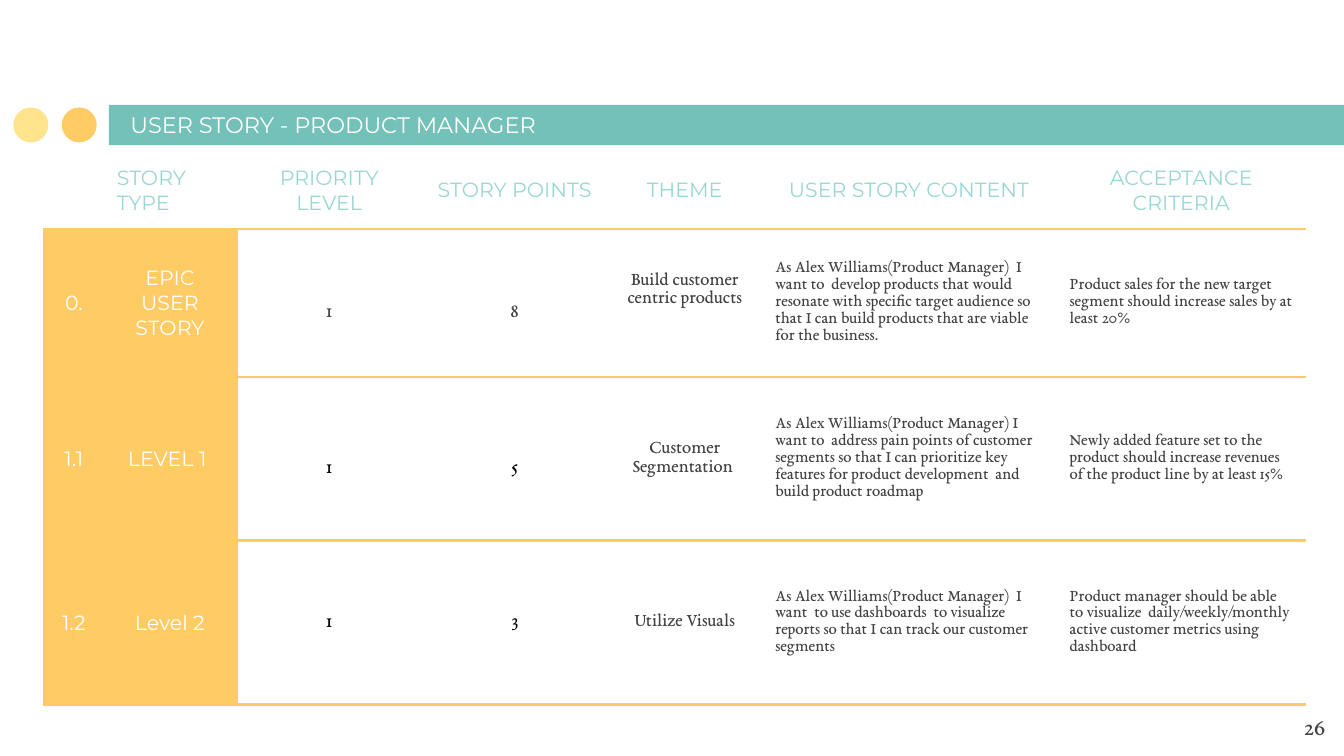
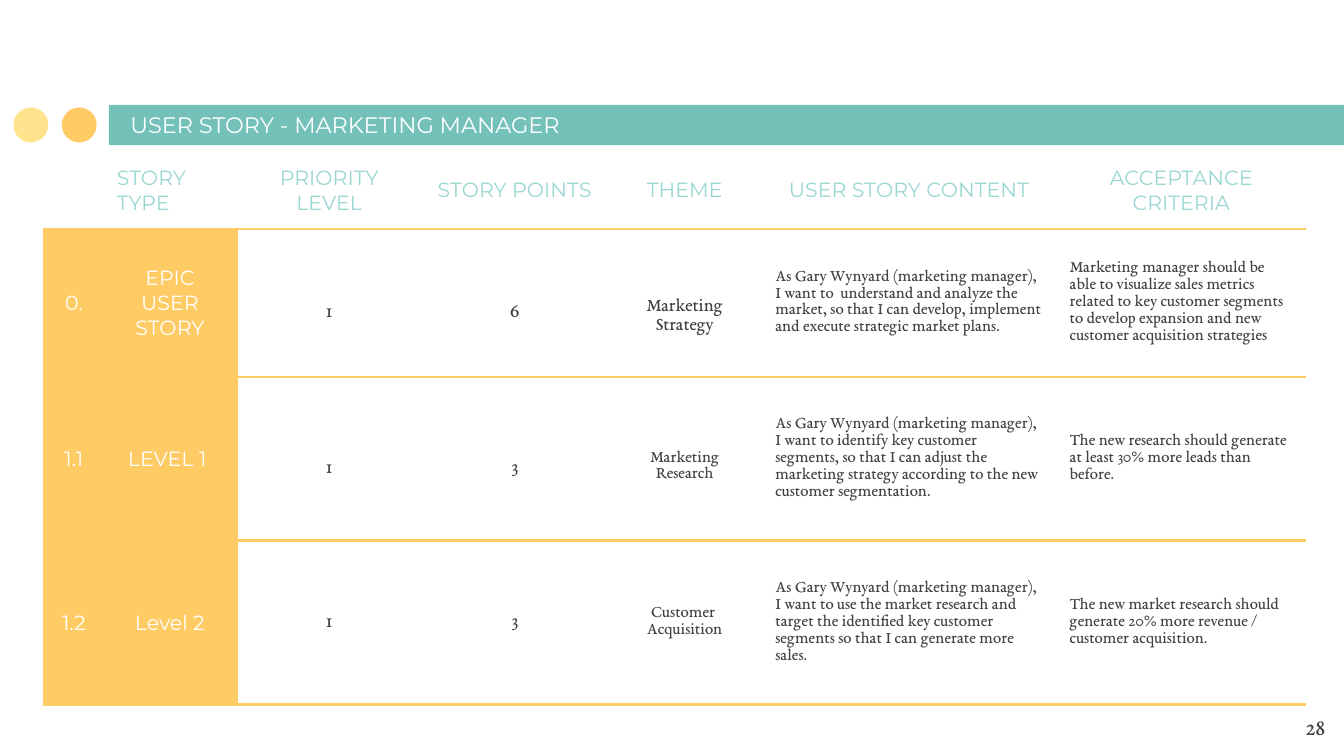
import pptx
import pptx.util
import pptx.dml.color
import pptx.enum.shapes
import pptx.enum.text
import lxml.etree
import pptx.oxml.ns

Inches = pptx.util.Inches
Pt = pptx.util.Pt
RGBColor = pptx.dml.color.RGBColor
Align = pptx.enum.text.PP_ALIGN
Anchor = pptx.enum.text.MSO_ANCHOR
Shape = pptx.enum.shapes.MSO_SHAPE
qn = pptx.oxml.ns.qn

TEAL = RGBColor(0x74, 0xC1, 0xB9)
MINT = RGBColor(0x9A, 0xD7, 0xD2)
GOLD = RGBColor(0xFF, 0xCB, 0x64)
LEMON = RGBColor(0xFF, 0xE4, 0x8D)
WHITE = RGBColor(0xFF, 0xFF, 0xFF)
BLACK = RGBColor(0, 0, 0)
GREY = RGBColor(0x43, 0x43, 0x43)
SANS = "Montserrat"
SERIF = "EB Garamond"
PLAIN = "{2D5ABB26-0587-4C30-8999-92F81FD0307C}"

DECOR = [
    (Shape.RECTANGLE, 0.81, 0.78, 9.5, 0.3, TEAL),
    (Shape.OVAL, 0.46, 0.8, 0.26, 0.26, GOLD),
    (Shape.OVAL, 0.1, 0.8, 0.26, 0.26, LEMON),
]
COLS = [0.44, 0.99, 1.38, 1.38, 1.15, 2.19, 1.86]
ROWS = [0.53, 1.1, 1.22, 1.22]
HEADS = ["", "STORY TYPE", "PRIORITY LEVEL", "STORY POINTS", "THEME",
         "USER STORY CONTENT", "ACCEPTANCE CRITERIA"]
LEVELS = [("0.", "EPIC USER STORY"), ("1.1", "LEVEL 1 "), ("1.2", "Level 2")]
DROPS = [0.15, 0.15, 0]

DECK = [
    {
        "title": "USER STORY - PRODUCT MANAGER",
        "page": "26",
        "inks": [GREY, BLACK, BLACK],
        "sizes": [10, 10, 10],
        "drops": [0.22, 0, 0],
        "anchor": Anchor.TOP,
        "rows": [
            ("1", "8", "Build customer centric products",
             "As Alex Williams(Product Manager)  I want to  develop products that would "
             "resonate with specific target audience so that I can build products that "
             "are viable for the business.",
             "Product sales for the new target segment should increase sales by at least 20%"),
            ("1", "5", "Customer Segmentation ",
             "As Alex Williams(Product Manager) I want to  address pain points of customer "
             "segments so that I can prioritize key features for product development  and "
             "build product roadmap",
             "Newly added feature set to the product should increase revenues of the "
             "product line by at least 15%"),
            ("1", "3", "Utilize Visuals",
             "As Alex Williams(Product Manager)  I want  to use dashboards  to visualize "
             "reports so that I can track our customer segments",
             "Product manager should be able to visualize  daily/weekly/monthly active "
             "customer metrics using dashboard"),
        ],
    },
    {
        "title": "USER STORY - MARKETING MANAGER",
        "page": "28",
        "inks": [GREY, GREY, GREY],
        "sizes": [10, 9, 9],
        "drops": [0.21, 0.12, 0],
        "anchor": Anchor.MIDDLE,
        "rows": [
            ("1", "6", "Marketing Strategy",
             "As Gary Wynyard (marketing manager), I want to  understand and analyze the "
             "market, so that I can develop, implement and execute strategic market plans.",
             "Marketing manager should be able to visualize sales metrics related to key "
             "customer segments  to develop expansion and new customer acquisition strategies"),
            ("1", "3", "Marketing Research",
             "As Gary Wynyard (marketing manager), I want to identify key customer "
             "segments, so that I can adjust the marketing strategy according to the new "
             "customer segmentation.",
             "The new research should generate at least 30% more leads than before."),
            ("1", "3", "Customer  Acquisition",
             "As Gary Wynyard (marketing manager), I want to use the market research and "
             "target the identified key customer segments so that I can generate more sales.",
             "The new market research should generate 20% more revenue / customer acquisition."),
        ],
    },
]


def write(frame, text, face, size, ink, align):
    para = frame.paragraphs[0]
    para.text = text
    para.alignment = align
    para.font.name = face
    para.font.size = Pt(size)
    para.font.bold = False
    para.font.color.rgb = ink


def edge(cell, sides):
    props = cell._tc.get_or_add_tcPr()
    for side in "LRTB":
        line = lxml.etree.SubElement(props, qn("a:ln" + side), w=str(Pt(1.5)))
        if side in sides:
            fill = lxml.etree.SubElement(line, qn("a:solidFill"))
            lxml.etree.SubElement(fill, qn("a:srgbClr"), val=str(GOLD))
        else:
            lxml.etree.SubElement(line, qn("a:noFill"))


deck = pptx.Presentation()
deck.slide_width = Inches(10)
deck.slide_height = Inches(5.625)

for data in DECK:
    slide = deck.slides.add_slide(deck.slide_layouts[5])
    shapes = slide.shapes

    for kind, left, top, width, height, tint in DECOR:
        shape = shapes.add_shape(kind, Inches(left), Inches(top), Inches(width), Inches(height))
        shape.shadow.inherit = False
        shape.fill.solid()
        shape.fill.fore_color.rgb = tint
        shape.line.fill.background()

    title = shapes.title
    shapes._spTree.append(title._element)
    title.left, title.top = Inches(0.87), Inches(0.79)
    title.width, title.height = Inches(5.48), Inches(0.34)
    number = shapes.add_textbox(Inches(9.36), Inches(5.19), Inches(0.6), Inches(0.43))
    for box in (title, number):
        frame = box.text_frame
        frame.word_wrap = True
        frame.auto_size = pptx.enum.text.MSO_AUTO_SIZE.NONE
        frame.margin_left = frame.margin_right = Inches(0.1)
        frame.margin_top = frame.margin_bottom = Inches(0.1)
    title.text_frame.vertical_anchor = Anchor.BOTTOM
    write(title.text_frame, data["title"], SANS, 12, WHITE, Align.LEFT)
    write(number.text_frame, data["page"], SERIF, 13, GREY, Align.RIGHT)

    table = shapes.add_table(len(ROWS), len(COLS), Inches(0.33), Inches(1.13),
                             Inches(sum(COLS)), Inches(sum(ROWS))).table
    table.first_row = table.horz_banding = False
    table._tbl.tblPr.find(qn("a:tableStyleId")).text = PLAIN
    for col, width in enumerate(COLS):
        table.columns[col].width = Inches(width)
    for row, height in enumerate(ROWS):
        table.rows[row].height = Inches(height)

    grid = [HEADS] + [level + story for level, story in zip(LEVELS, data["rows"])]
    for row, texts in enumerate(grid):
        for col, text in enumerate(texts):
            cell = table.cell(row, col)
            cell.margin_left = cell.margin_right = Inches(0.1)
            cell.margin_top = cell.margin_bottom = Inches(0.1)
            cell.vertical_anchor = Anchor.MIDDLE
            face, size, ink, align = SANS, 11, WHITE, Align.CENTER
            if row == 0:
                edge(cell, "B")
                cell.fill.background()
                ink = MINT
                if col == 1:
                    align = Align.LEFT
            elif col < 2:
                edge(cell, "LRTB")
                cell.fill.solid()
                cell.fill.fore_color.rgb = GOLD
            else:
                edge(cell, "LTB" if col == 2 else "TB")
                cell.fill.background()
                face, ink = SERIF, GREY
                if col < 4:
                    ink = data["inks"][row - 1]
                    cell.margin_top = Inches(0.1 + DROPS[row - 1])
                elif col == 4:
                    size = data["sizes"][row - 1]
                    cell.margin_top = Inches(0.1 + data["drops"][row - 1])
                    if row == 1:
                        cell.vertical_anchor = data["anchor"]
                else:
                    size, align = 9, Align.LEFT
            write(cell.text_frame, text, face, size, ink, align)

deck.save("out.pptx")
